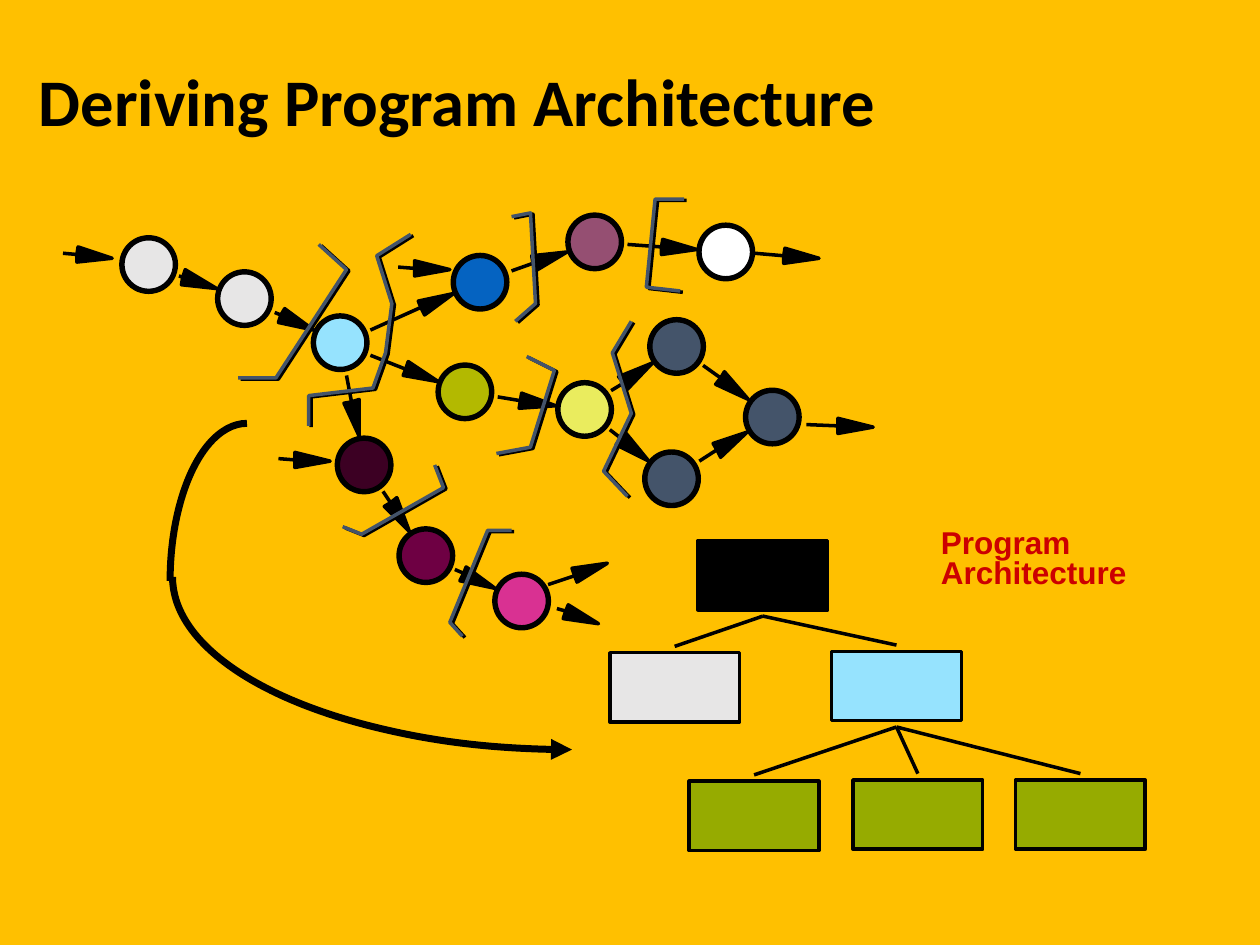
from math import hypot

from lxml import etree
from pptx import Presentation
from pptx.dml.color import RGBColor
from pptx.enum.shapes import MSO_CONNECTOR, MSO_SHAPE
from pptx.enum.text import MSO_ANCHOR, MSO_AUTO_SIZE
from pptx.oxml.ns import qn
from pptx.util import Pt

PX = 9144  # EMU per px, 100 px to the inch
OVAL, BOX, STRAIGHT = MSO_SHAPE.OVAL, MSO_SHAPE.RECTANGLE, MSO_CONNECTOR.STRAIGHT
MIDDLE, TOP = MSO_ANCHOR.MIDDLE, MSO_ANCHOR.TOP
GROW, FIXED = MSO_AUTO_SIZE.SHAPE_TO_FIT_TEXT, MSO_AUTO_SIZE.NONE

BLACK, SLATE, GREY, CYAN, OLIVE = "000000", "44546A", "E7E6E6", "96E3FE", "96AB00"
DISC, RING = 41, 44
LEAVE_GAP, REACH_GAP = 26, 23
HEAD_LENGTH, HEAD_HALF = 28, 6
MODULE_WIDTH, MODULE_HEIGHT, CALL_GAP = 103, 55, 5
QUARTER_TURN = 5400000

# centre and fill
BUBBLES = {
    "read": (194, 237, GREY), "input": (118, 210, GREY),
    "blue": (381, 224, "0563C1"), "purple": (472, 192, "954F72"),
    "white": (576, 200, "FFFFFF"), "olive": (369, 311, "B3B900"),
    "yellow": (464, 325, "EAEC5E"), "upper": (537, 275, SLATE),
    "lower": (533, 380, SLATE), "merge": (613, 331, SLATE),
    "plum": (289, 369, "3C0023"), "wine": (338, 441, "6E0043"),
    "pink": (414, 477, "D93192"), "centre": (270, 272, CYAN),
}
LINKS = [
    "input read", "read centre", "centre olive", "centre blue", "centre plum",
    "blue purple", "purple white", "olive yellow", "upper merge", "lower merge",
    "yellow lower", "yellow upper", "plum wine", "wine pink",
]
# start and tip of the flows that enter or leave the diagram
OUTER_FLOWS = [
    ((50, 201), (89, 205)), ((221, 364), (262, 366)), ((316, 212), (357, 214)),
    ((599, 201), (650, 205)), ((640, 337), (693, 339)), ((442, 483), (475, 495)),
    ((435, 464), (482, 447)),
]
BOUNDARIES = [
    [(253, 194), (275, 214), (219, 300), (189, 300)],
    [(326, 186), (299, 203), (311, 241), (306, 280), (296, 308), (245, 314), (245, 338)],
    [(406, 172), (421, 169), (425, 241), (409, 255)],
    [(543, 158), (520, 158), (513, 228), (540, 231)],
    [(418, 283), (440, 294), (421, 355), (394, 360)],
    [(501, 255), (486, 280), (501, 328), (479, 374), (498, 394)],
    [(345, 369), (352, 387), (287, 424), (272, 418)],
    [(406, 421), (387, 421), (357, 494), (367, 505)],
]
# left, top, fill and caller
MODULES = {
    "main": (554, 429, BLACK, None), "get": (484, 518, GREY, "main"),
    "control": (660, 517, CYAN, "main"), "first": (547, 620, OLIVE, "control"),
    "second": (677, 619, OLIVE, "control"), "third": (806, 619, OLIVE, "control"),
}


def rgb(hex_code):
    return RGBColor.from_string(hex_code)


def emu(*lengths):
    return [round(length * PX) for length in lengths]


def along(start, end, distance, aside=0):
    """Return the point at a distance from start towards end, moved sideways."""
    dx, dy = end[0] - start[0], end[1] - start[1]
    length = hypot(dx, dy)
    return (round(start[0] + (dx * distance - dy * aside) / length),
            round(start[1] + (dy * distance + dx * aside) / length))


def paint(shape, fill=None, line=BLACK, width=2):
    shape.shadow.inherit = False
    if fill:
        shape.fill.solid()
        shape.fill.fore_color.rgb = rgb(fill)
    else:
        shape.fill.background()
    shape.line.color.rgb = rgb(line)
    shape.line.width = Pt(width)


def add_preset(slide, kind, left, top, width, height, fill=None):
    shape = slide.shapes.add_shape(kind, *emu(left, top, width, height))
    paint(shape, fill)


def add_bubble(slide, x, y, fill):
    """Draw a filled circle with a slightly larger ring around it."""
    for size, color in ((DISC, fill), (RING, None)):
        add_preset(slide, OVAL, x - size / 2, y - size / 2, size, size, color)


def add_line(slide, start, end):
    line = slide.shapes.add_connector(STRAIGHT, *emu(*start, *end))
    line.line.color.rgb = rgb(BLACK)
    line.line.width = Pt(2)
    etree.SubElement(line._element.spPr, qn("a:effectLst"))


def add_outline(slide, points, close=False, **look):
    builder = slide.shapes.build_freeform(*points[0], scale=PX)
    builder.add_line_segments(points[1:], close=close)
    outline = builder.convert_to_shape()
    paint(outline, **look)
    return outline


def add_flow(slide, start, tip):
    """Draw a line that ends in a long, narrow arrowhead."""
    left, base, right = (along(tip, start, HEAD_LENGTH, aside)
                         for aside in (-HEAD_HALF, 0, HEAD_HALF))
    add_outline(slide, [tip, left, base, right], close=True, fill=BLACK)
    add_line(slide, start, base)


def add_link(slide, source, target):
    """Draw the flow between two bubbles, clear of both."""
    start, end = BUBBLES[source][:2], BUBBLES[target][:2]
    add_flow(slide, along(start, end, LEAVE_GAP), along(end, start, REACH_GAP))


def add_boundary(slide, points):
    """Draw a slate bracket over its black offset twin."""
    add_outline(slide, [(x + 2, y + 1) for x, y in points])
    add_outline(slide, points, line=SLATE)


def add_module(slide, left, top, fill, caller):
    """Draw a module box and the line from its caller."""
    add_preset(slide, BOX, left, top, MODULE_WIDTH, MODULE_HEIGHT, fill)
    if caller:
        half = MODULE_WIDTH / 2
        caller_left, caller_top = MODULES[caller][:2]
        add_line(slide, (caller_left + half, caller_top + MODULE_HEIGHT + CALL_GAP),
                 (left + half, top - CALL_GAP))


def add_quarter_arc(slide, start, end, start_angle):
    """Draw a clockwise quarter of an ellipse between two points."""
    arc = add_outline(slide, [start, end], width=4)
    segment = next(arc._element.iter(qn("a:lnTo")))
    curve = etree.Element(qn("a:arcTo"), {
        "wR": str(abs(end[0] - start[0])), "hR": str(abs(end[1] - start[1])),
        "stAng": str(start_angle), "swAng": str(QUARTER_TURN)})
    segment.getparent().replace(segment, curve)
    return arc


def add_text(slide, box, lines, spacing, frame_format, font_format, color):
    frame = slide.shapes.add_textbox(*emu(*box)).text_frame
    for name, value in frame_format.items():
        setattr(frame, name, value)
    frame.text = "\n".join(lines)
    for paragraph in frame.paragraphs:
        paragraph.line_spacing = spacing
        for name, value in font_format.items():
            setattr(paragraph.font, name, value)
        paragraph.font.color.rgb = rgb(color)


def main():
    prs = Presentation()
    prs.slide_width, prs.slide_height = emu(1000, 750)
    slide = prs.slides.add_slide(prs.slide_layouts[6])
    slide.background.fill.solid()
    slide.background.fill.fore_color.rgb = rgb("FFC000")
    add_text(slide, (21, 33, 877, 100), ["Deriving Program Architecture"], 0.9,
             {"word_wrap": True, "auto_size": FIXED, "vertical_anchor": MIDDLE},
             {"name": "Calibri", "size": Pt(38), "bold": True}, BLACK)

    for link in LINKS:
        add_link(slide, *link.split())
    for flow in OUTER_FLOWS:
        add_flow(slide, *flow)
    for bubble in BUBBLES.values():
        add_bubble(slide, *bubble)
    for boundary in BOUNDARIES:
        add_boundary(slide, boundary)
    for module in MODULES.values():
        add_module(slide, *module)
    add_text(slide, (737, 416, 167, 58), ["Program", "Architecture"], 0.8,
             {"word_wrap": False, "auto_size": GROW, "vertical_anchor": TOP},
             {"name": "Arial", "size": Pt(18), "bold": True}, "CC0000")

    add_quarter_arc(slide, (135, 461), (196, 336), 2 * QUARTER_TURN)
    mapping = add_quarter_arc(slide, (454, 595), (137, 458), QUARTER_TURN)
    etree.SubElement(mapping._element.spPr.find(qn("a:ln")), qn("a:headEnd"), type="triangle")
    prs.save("out.pptx")


if __name__ == "__main__":
    main()
